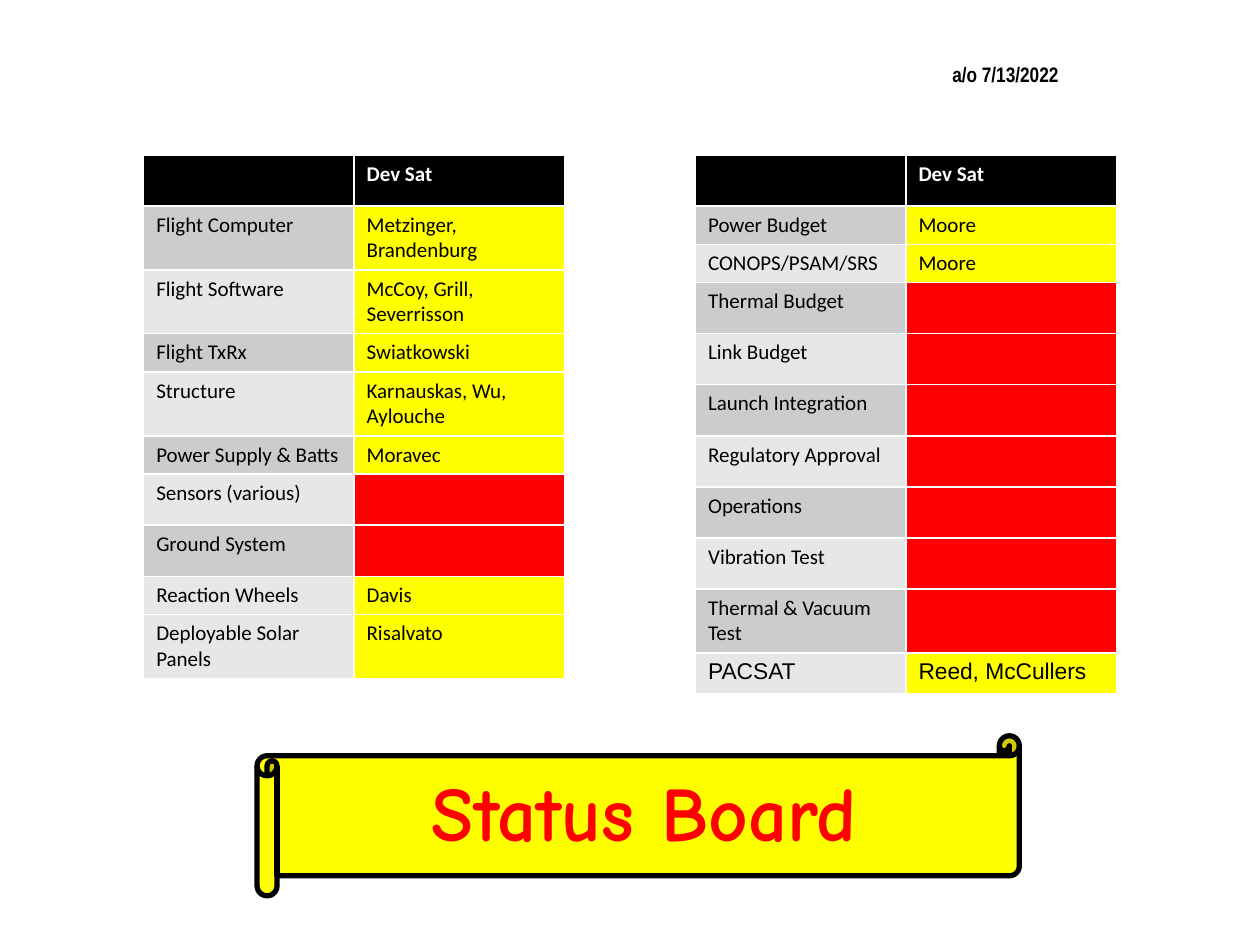
"""Build the satellite status board slide."""
from pptx import Presentation
from pptx.dml.color import RGBColor
from pptx.enum.shapes import MSO_SHAPE
from pptx.enum.text import PP_ALIGN
from pptx.util import Inches, Pt

COLORS = {"black": "000000", "white": "FFFFFF", "yellow": "FFFF00",
          "red": "FF0000", "dark": "CCCCCC", "light": "E7E7E7"}
HEADER = ("", "Dev Sat", 0.4)
SUBSYSTEMS = [
    ("Flight Computer", "Metzinger, Brandenburg", 0.5),
    ("Flight Software", "McCoy, Grill, Severrisson", 0.5),
    ("Flight TxRx", "Swiatkowski", 0.3),
    ("Structure", "Karnauskas, Wu, Aylouche", 0.5),
    ("Power Supply & Batts", "Moravec", 0.3),
    ("Sensors (various)", "", 0.4),
    ("Ground System", "", 0.4),
    ("Reaction Wheels", "Davis", 0.3),
    ("Deployable Solar Panels", "Risalvato", 0.5),
]
TASKS = [
    ("Power Budget", "Moore", 0.3),
    ("CONOPS/PSAM/SRS", "Moore", 0.3),
    ("Thermal Budget", "", 0.4),
    ("Link Budget", "", 0.4),
    ("Launch Integration", "", 0.4),
    ("Regulatory Approval", "", 0.4),
    ("Operations", "", 0.4),
    ("Vibration Test", "", 0.4),
    ("Thermal & Vacuum Test", "", 0.5),
    ("PACSAT", "Reed, McCullers", 0.32),
]
TABLES = [(1.14, SUBSYSTEMS), (5.52, TASKS)]
TABLE_TOP, COL_WIDTH = 1.23, 1.67
LIGHT_LABELS = {"Deployable Solar Panels"}
LARGE_LABELS = {"PACSAT"}


def rgb(name):
    return RGBColor.from_string(COLORS[name])


def style(p, font, size, color, bold=False):
    p.font.name, p.font.size, p.font.bold = font, Pt(size), bold
    p.font.color.rgb = rgb(color)


def add_text(shapes, box, content, font, size, color, align=PP_ALIGN.LEFT):
    tf = shapes.add_textbox(*map(Inches, box)).text_frame
    tf.word_wrap = True
    p = tf.paragraphs[0]
    p.text, p.alignment = content, align
    style(p, font, size, color, True)


def add_status_table(s, left, items):
    rows = [HEADER] + items
    height = sum(row[2] for row in rows)
    table = s.shapes.add_table(len(rows), 2, Inches(left), Inches(TABLE_TOP),
                               Inches(2 * COL_WIDTH), Inches(height)).table
    for col in table.columns:
        col.width = Inches(COL_WIDTH)
    for i, (label, owner, row_height) in enumerate(rows):
        table.rows[i].height = Inches(row_height)
        shade = "dark" if i % 2 and label not in LIGHT_LABELS else "light"
        fills = (shade, "yellow" if owner else "red") if i else ("black", "black")
        font, size = ("Arial", 13) if label in LARGE_LABELS else ("Calibri", 12)
        for j, (content, fill) in enumerate(zip((label, owner), fills)):
            cell = table.cell(i, j)
            cell.fill.solid()
            cell.fill.fore_color.rgb = rgb(fill)
            if content:
                cell.text = content
                style(cell.text_frame.paragraphs[0], font, size,
                      "black" if i else "white", i == 0)


prs = Presentation()
prs.slide_width, prs.slide_height = Inches(10), Inches(7.5)
s = prs.slides.add_slide(prs.slide_layouts[6])

for left, items in TABLES:
    add_status_table(s, left, items)

banner = s.shapes.add_group_shape()
scroll = banner.shapes.add_shape(MSO_SHAPE.HORIZONTAL_SCROLL, Inches(2.04),
                                 Inches(5.84), Inches(6.05), Inches(1.27))
scroll.shadow.inherit = False
scroll.fill.solid()
scroll.fill.fore_color.rgb = rgb("yellow")
scroll.line.color.rgb = rgb("black")
scroll.line.width = Pt(3)
add_text(banner.shapes, (1.74, 6.02, 6.75, 0.83), "Status Board",
         "Comic Neue", 44, "red", PP_ALIGN.CENTER)
add_text(s.shapes, (7.46, 0.44, 1.26, 0.3), "a/o 7/13/2022",
         "Arial Narrow", 12, "black")

prs.save("out.pptx")
